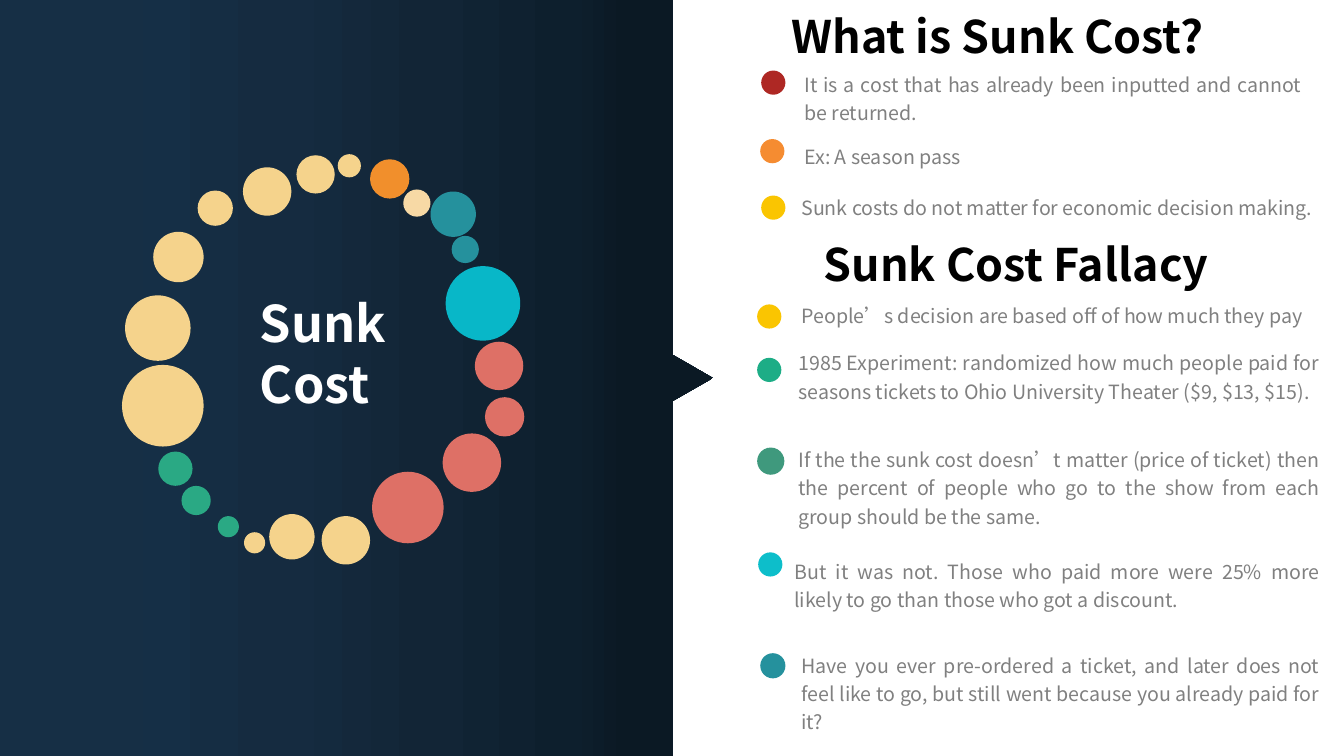
from dataclasses import dataclass

from lxml import etree
from pptx import Presentation
from pptx.dml.color import RGBColor
from pptx.enum.shapes import MSO_SHAPE
from pptx.enum.text import MSO_ANCHOR, MSO_AUTO_SIZE, PP_ALIGN
from pptx.oxml.ns import qn
from pptx.util import Inches, Pt

OVAL = MSO_SHAPE.OVAL
LEFT, CENTER, JUSTIFY = PP_ALIGN.LEFT, PP_ALIGN.CENTER, PP_ALIGN.JUSTIFY
TITLE_ONLY = 5


@dataclass(frozen=True)
class Theme:
    font: str = "Noto Sans CJK SC"
    heading_size: int = 32
    topic_size: int = 36
    body_size: int = 14
    black: str = "000000"
    white: str = "FFFFFF"
    gray: str = "808080"
    red: str = "AE2824"
    orange: str = "F58C31"
    yellow: str = "FAC501"
    green: str = "1DAD86"
    sage: str = "3F997D"
    cyan: str = "0DBECA"
    teal: str = "25919D"
    ring_cyan: str = "08B7C8"
    ring_coral: str = "DE7066"
    ring_sand: str = "F5D38C"
    ring_pale: str = "F7D9A5"
    ring_green: str = "2AA984"
    ring_orange: str = "F18F2C"
    panel_stops: tuple = ((0, "162F45"), (20, "152F46"), (40, "152B40"),
                          (60, "122536"), (80, "0D1F2D"), (88, "0B1924"))


THEME = Theme()

PANEL_OUTLINE = ((0, 0), (6.67, 0), (6.67, 3.52), (7.07, 3.75),
                 (6.67, 3.98), (6.67, 7.5), (0, 7.5))

# Ring circles by colour: left, top, diameter
RING = (
    (THEME.ring_cyan, ((4.42, 2.64, 0.74),)),
    (THEME.ring_coral, ((4.71, 3.39, 0.48), (4.81, 3.94, 0.39),
                        (4.39, 4.3, 0.58), (3.69, 4.68, 0.71))),
    (THEME.ring_sand, ((3.19, 5.12, 0.48), (2.67, 5.1, 0.45), (2.42, 5.28, 0.21))),
    (THEME.ring_green, ((2.16, 5.12, 0.21), (1.8, 4.82, 0.29), (1.57, 4.48, 0.34))),
    (THEME.ring_sand, ((1.21, 3.62, 0.81), (1.24, 2.93, 0.65), (1.52, 2.3, 0.5),
                       (1.96, 1.89, 0.35), (2.41, 1.66, 0.48), (2.94, 1.54, 0.38),
                       (3.35, 1.53, 0.23))),
    (THEME.ring_orange, ((3.67, 1.58, 0.39),)),
    (THEME.ring_pale, ((4, 1.88, 0.27),)),
    (THEME.teal, ((4.48, 2.34, 0.27), (4.27, 1.9, 0.45))),
)

# Points: marker colour, marker place, text place, text, format
SPACED = {"align": JUSTIFY, "spacing": 1.2}
POINTS = (
    (THEME.red, (7.55, 0.7, 0.24), (7.88, 0.63, 5.13, 0.67),
     "It is a cost that has already been inputted and cannot be returned.", SPACED),
    (THEME.orange, (7.54, 1.38, 0.24), (7.88, 1.34, 4.33, 0.38),
     "Ex: A season pass", SPACED),
    (THEME.yellow, (7.55, 1.94, 0.24), (7.85, 1.89, 5.45, 0.57),
     "Sunk costs do not matter for economic decision making.", {}),
    (THEME.yellow, (7.51, 3.02, 0.24), (7.85, 2.92, 5.34, 0.38),
     "People’s decision are based off of how much they pay", SPACED),
    (THEME.green, (7.51, 3.55, 0.24), (7.82, 3.39, 5.37, 0.95),
     "1985 Experiment: randomized how much people paid for seasons tickets "
     "to Ohio University Theater ($9, $13, $15).", SPACED),
    (THEME.sage, (7.51, 4.44, 0.27), (7.82, 4.35, 5.37, 0.95),
     "If the the sunk cost doesn’t matter (price of ticket) then the percent "
     "of people who go to the show from each group should be the same.", SPACED),
    (THEME.cyan, (7.52, 5.48, 0.24), (7.78, 5.46, 5.41, 0.67),
     "But it was not. Those who paid more were 25% more likely to go than "
     "those who got a discount.", SPACED),
    (THEME.teal, (7.54, 6.48, 0.25), (7.85, 6.39, 5.34, 0.95),
     "Have you ever pre-ordered a ticket, and later does not feel like to go, "
     "but still went because you already paid for it?", SPACED),
)


def write_text(box, text, size=THEME.body_size, color=THEME.gray, bold=False,
               align=LEFT, spacing=1.0):
    frame = box.text_frame
    frame.word_wrap = True
    frame.auto_size = MSO_AUTO_SIZE.NONE
    frame.vertical_anchor = MSO_ANCHOR.TOP
    para = frame.paragraphs[0]
    para.alignment = align
    para.line_spacing = spacing
    para.space_before = Pt(0)
    span = para.add_run()
    span.text = text
    span.font.name = THEME.font
    span.font.size = Pt(size)
    span.font.bold = bold
    span.font.color.rgb = RGBColor.from_string(color)


def add_text(page, place, text, **style):
    box = page.shapes.add_textbox(*map(Inches, place))
    write_text(box, text, **style)


def add_circle(page, left, top, diameter, color):
    circle = page.shapes.add_shape(
        OVAL, Inches(left), Inches(top), Inches(diameter), Inches(diameter))
    circle.shadow.inherit = False
    circle.fill.solid()
    circle.fill.fore_color.rgb = RGBColor.from_string(color)
    circle.line.fill.background()


def add_panel(page):
    start, *corners = [(Inches(x), Inches(y)) for x, y in PANEL_OUTLINE]
    builder = page.shapes.build_freeform(*start)
    builder.add_line_segments(corners, close=True)
    panel = builder.convert_to_shape()
    panel.shadow.inherit = False
    panel.line.fill.background()
    panel.fill.gradient()
    panel.fill.gradient_angle = 0
    # Replace the default pair of stops with the theme's six
    stops = next(panel._element.iter(qn("a:gsLst")))
    for stop in list(stops):
        stops.remove(stop)
    for percent, color in THEME.panel_stops:
        stop = etree.SubElement(stops, qn("a:gs"), pos=str(percent * 1000))
        etree.SubElement(stop, qn("a:srgbClr"), val=color)


def set_title(page, place, text, **style):
    title = page.shapes.title
    title.left, title.top, title.width, title.height = map(Inches, place)
    write_text(title, text, **style)


def main():
    deck = Presentation()
    deck.slide_width, deck.slide_height = Inches(13.33), Inches(7.5)
    page = deck.slides.add_slide(deck.slide_layouts[TITLE_ONLY])
    heading = {"size": THEME.heading_size, "color": THEME.black, "bold": True}

    # Dark panel with the ring of circles and the topic
    add_panel(page)
    for color, circles in RING:
        for circle in circles:
            add_circle(page, *circle, color)
    add_text(page, (2.48, 2.85, 1.89, 1.31), "Sunk Cost",
             size=THEME.topic_size, color=THEME.white, bold=True)

    # Headings and their points
    set_title(page, (7.75, 0.04, 4.66, 0.64), "What is Sunk Cost?", **heading)
    add_text(page, (7.75, 2.3, 4.66, 0.64), "Sunk Cost Fallacy",
             align=CENTER, **heading)
    for color, marker, place, text, style in POINTS:
        add_circle(page, *marker, color)
        add_text(page, place, text, **style)

    deck.save("out.pptx")


if __name__ == "__main__":
    main()
